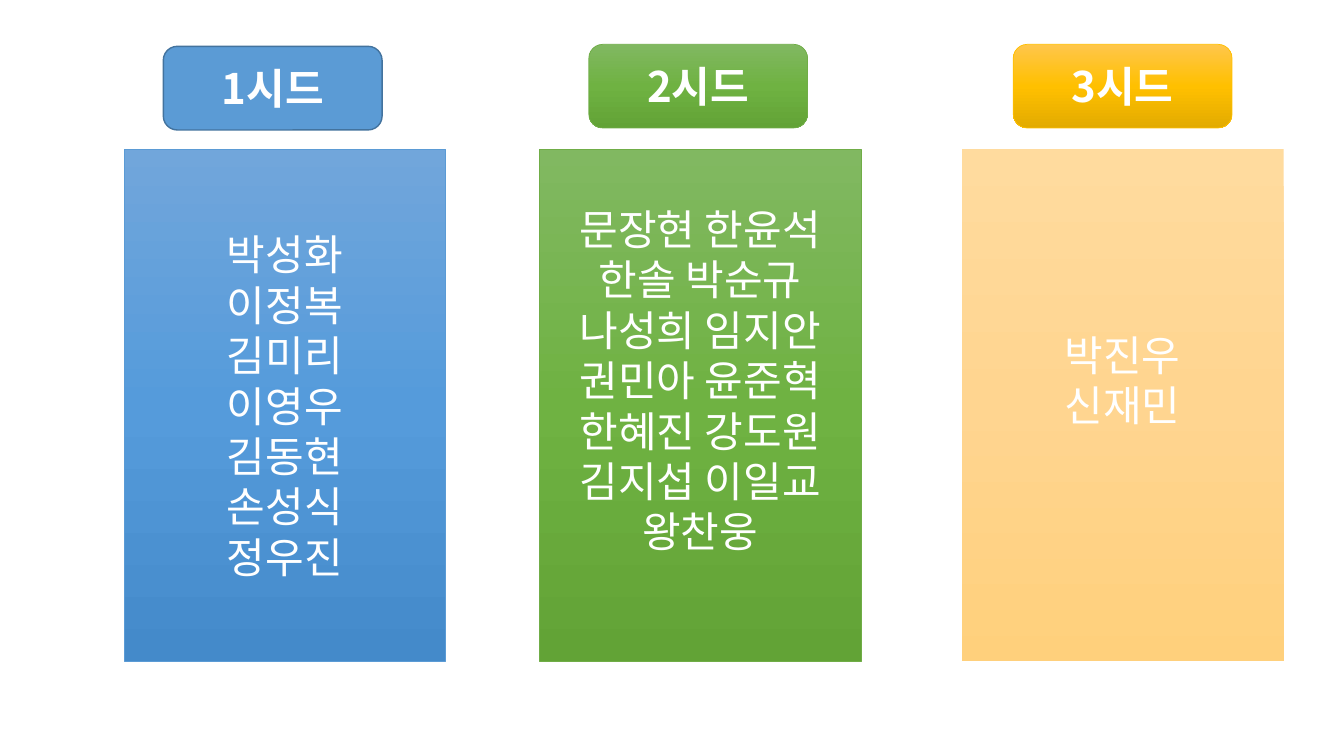
from copy import deepcopy

from lxml import etree
from pptx import Presentation
from pptx.dml.color import RGBColor
from pptx.enum.shapes import MSO_SHAPE
from pptx.enum.text import MSO_ANCHOR, PP_ALIGN
from pptx.oxml.ns import qn
from pptx.util import Inches, Pt

RECT, ROUNDED = MSO_SHAPE.RECTANGLE, MSO_SHAPE.ROUNDED_RECTANGLE
MIDDLE, CENTER = MSO_ANCHOR.MIDDLE, PP_ALIGN.CENTER
FONT = "Noto Sans CJK KR"

WHITE = RGBColor(0xFF, 0xFF, 0xFF)
BLUE = RGBColor(0x5B, 0x9B, 0xD5)
DARK_BLUE = RGBColor(0x43, 0x73, 0x9E)
GREEN = RGBColor(0x70, 0xAD, 0x47)
GOLD = RGBColor(0xFF, 0xC0, 0x00)
BLUES = [RGBColor(0x71, 0xA6, 0xDB), RGBColor(0x55, 0x9B, 0xDB), RGBColor(0x44, 0x8A, 0xCA)]
GREENS = [RGBColor(0x81, 0xB8, 0x61), RGBColor(0x6F, 0xB2, 0x42), RGBColor(0x62, 0xA3, 0x36)]
GOLDS = [RGBColor(0xFF, 0xC6, 0x4B), GOLD, RGBColor(0xE3, 0xAB, 0x00)]
PEACHES = [RGBColor(0xFF, 0xDB, 0x9E), RGBColor(0xFF, 0xD5, 0x90), RGBColor(0xFF, 0xD0, 0x7C)]

LIST_TOP, LIST_W, LIST_H = 1.48, 3.19, 5.08
SEED_W, SEED_H = 2.17, 0.83


def fill_shape(s, colors):
    """Solid fill for one color, even top-to-bottom gradient for more."""
    if len(colors) == 1:
        s.fill.solid()
        s.fill.fore_color.rgb = colors[0]
        return
    s.fill.gradient()
    s.fill.gradient_angle = 270
    stop_list = next(s._element.spPr.iter(qn("a:gsLst")))
    while len(stop_list) < len(colors):
        stop_list.append(deepcopy(stop_list[0]))
    for i, (stop, color) in enumerate(zip(s.fill.gradient_stops, colors)):
        stop.position = i / (len(colors) - 1)
        stop.color.rgb = color


def set_font(font, bold):
    font.name, font.size, font.bold = FONT, Pt(30), bold
    font.color.rgb = WHITE
    # East Asian typeface, placed right after the Latin one
    east_asian = etree.Element(qn("a:ea"), typeface=FONT)
    font._element.find(qn("a:latin")).addnext(east_asian)


def add_box(slide, kind, box, colors, line, lines, bold=False, bottom=0.05):
    s = slide.shapes.add_shape(kind, *(Inches(v) for v in box))
    s.shadow.inherit = False
    fill_shape(s, colors)
    if line:
        s.line.color.rgb, s.line.width = line[0], Pt(line[1])
    else:
        s.line.fill.background()
    tf = s.text_frame
    tf.word_wrap = True
    tf.vertical_anchor = MIDDLE
    tf.margin_bottom = Inches(bottom)
    tf.text = "\n".join(lines)
    for p in tf.paragraphs:
        p.alignment = CENTER
        set_font(p.font, bold)


def main():
    prs = Presentation()
    prs.slide_width, prs.slide_height = Inches(13.33), Inches(7.5)
    slide = prs.slides.add_slide(prs.slide_layouts[6])

    # Name lists: left, colors, outline, bottom inset, names
    name_lists = [
        (1.23, BLUES, (BLUE, 0.5), 0.05,
         ["박성화", "이정복", "김미리", "이영우", "김동현", "손성식", "정우진"]),
        (5.35, GREENS, (GREEN, 0.5), 0.55,
         ["문장현 한윤석", "한솔 박순규", "나성희 임지안", "권민아 윤준혁",
          "한혜진 강도원", "김지섭 이일교", "왕찬웅"]),
        (9.54, PEACHES, None, 0.55, ["박진우", "신재민"]),
    ]
    for left, colors, line, bottom, names in name_lists:
        add_box(slide, RECT, (left, LIST_TOP, LIST_W, LIST_H), colors, line,
                names, bottom=bottom)

    # Seed headings: left, top, colors, outline
    seeds = [
        (1.62, 0.46, [BLUE], (DARK_BLUE, 1)),
        (5.84, 0.44, GREENS, (GREEN, 0.5)),
        (10.05, 0.44, GOLDS, (GOLD, 0.5)),
    ]
    for number, (left, top, colors, line) in enumerate(seeds, 1):
        add_box(slide, ROUNDED, (left, top, SEED_W, SEED_H), colors, line,
                [f"{number}시드"], bold=True)

    prs.save("out.pptx")


main()
